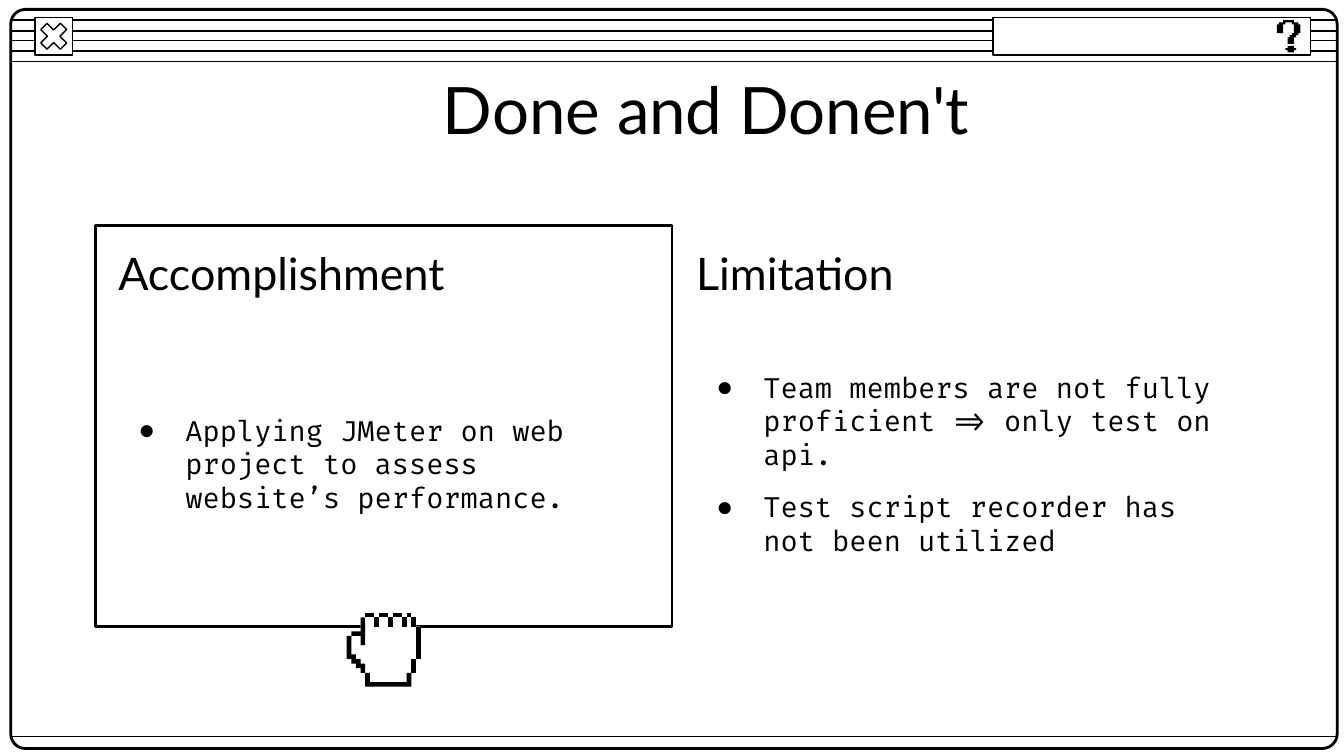
"""Builds the "Done and Donen't" slide inside a retro window frame."""
from dataclasses import dataclass

from lxml.etree import SubElement
from pptx import Presentation
from pptx.dml.color import RGBColor
from pptx.enum.shapes import MSO_CONNECTOR, MSO_SHAPE
from pptx.enum.text import MSO_ANCHOR, MSO_AUTO_SIZE, PP_ALIGN
from pptx.oxml.ns import qn
from pptx.util import Inches, Pt

COLORS = {"ink": "000000", "paper": "FFFFFF"}
HEADING_FONT = "Lato"
BODY_FONT = "Fira Code"


@dataclass(frozen=True)
class Box:
    left: float
    top: float
    width: float
    height: float

    def lengths(self) -> tuple:
        return tuple(Inches(n) for n in (self.left, self.top, self.width, self.height))


@dataclass(frozen=True)
class PixelGrid:
    left: float
    top: float
    cell: float


@dataclass(frozen=True)
class Column:
    left: float
    heading: str
    heading_index: int
    bullets: tuple


WINDOW = Box(0.08, 0.07, 9.87, 5.5)
CLOSE_BUTTON = Box(0.26, 0.13, 0.28, 0.28)
HELP_BAR = Box(7.39, 0.13, 2.36, 0.28)
CARD = Box(0.71, 1.68, 4.29, 2.98)
TITLE = Box(0.79, 0.49, 8.43, 0.63)
RULE_TOPS = (0.15, 0.23, 0.3, 0.38, 0.46, 5.48)

COLUMNS = (
    Column(0.78, "Accomplishment", 1,
           ("Applying JMeter on web project to assess website’s performance.",)),
    Column(5.08, "Limitation", 3,
           ("Team members are not fully proficient => only test on api.",
            "Test script recorder has not been utilized")),
)

QUESTION_GRID = PixelGrid(9.5, 0.15, 0.24 / 15)
QUESTION_HOOK = (
    (3, 0), (3, 1), (1, 1), (1, 2), (0, 2), (0, 6), (3, 6), (3, 2), (4, 2), (4, 1),
    (7, 1), (7, 2), (8, 2), (8, 6), (7, 6), (7, 7), (6, 7), (6, 8), (5, 8), (5, 11),
    (8, 11), (8, 8), (9, 8), (9, 7), (10, 7), (10, 6), (11, 6), (11, 2), (10, 2),
    (10, 1), (8, 1), (8, 0))
QUESTION_DOT = (
    (5, 12), (5, 13), (4, 13), (4, 14), (5, 14), (5, 15),
    (8, 15), (8, 14), (9, 14), (9, 13), (8, 13), (8, 12))

HAND_GRID = PixelGrid(2.58, 4.56, 0.55 / 16)
PALM = (
    (4, 0), (4, 1), (3, 1), (3, 4), (1, 4), (1, 5), (0, 5), (0, 10), (1, 10), (1, 11),
    (2, 11), (2, 12), (3, 12), (3, 13), (4, 13), (4, 16), (14, 16), (14, 13), (15, 13),
    (15, 10), (16, 10), (16, 3), (15, 3), (15, 1), (14, 1), (14, 0), (13, 0), (13, 1),
    (12, 1), (12, 0), (10, 0), (10, 1), (9, 1), (9, 0), (7, 0), (7, 1), (6, 1), (6, 0))
THUMB = ((3, 1), (3, 4), (1, 4), (1, 5), (3, 5), (3, 7), (4, 7), (4, 1))
CUFF = ((4, 13), (4, 16), (14, 16), (14, 13), (13, 13), (13, 15), (5, 15), (5, 13))
HAND_SIDE = (
    (0, 5), (0, 10), (1, 10), (1, 11), (2, 11), (2, 12), (3, 12), (3, 13), (4, 13),
    (4, 11), (3, 11), (3, 10), (2, 10), (2, 9), (1, 9), (1, 5))
HAND_BARS = (
    (14, 1, 1, 2), (12, 1, 1, 2), (9, 1, 1, 2), (6, 1, 1, 2), (15, 3, 1, 7),
    (14, 10, 1, 3), (4, 0, 2, 1), (7, 0, 2, 1), (10, 0, 2, 1), (13, 0, 1, 1))


def color(name: str) -> RGBColor:
    return RGBColor.from_string(COLORS[name])


def add_rule(shapes, top: float) -> None:
    right = WINDOW.left + WINDOW.width
    rule = shapes.add_connector(MSO_CONNECTOR.STRAIGHT, Inches(WINDOW.left), Inches(top),
                                Inches(right), Inches(top))
    rule.line.color.rgb = color("ink")
    rule.line.width = Pt(0.75)
    SubElement(rule.element.spPr, qn("a:effectLst"))


def add_panel(shapes, kind: MSO_SHAPE, box: Box, weight: float, filled: bool,
              adjustment: float | None = None) -> None:
    shape = shapes.add_shape(kind, *box.lengths())
    shape.shadow.inherit = False
    shape.line.color.rgb = color("ink")
    shape.line.width = Pt(weight)
    if filled:
        shape.fill.solid()
        shape.fill.fore_color.rgb = color("paper")
    else:
        shape.fill.background()
    if adjustment is not None:
        shape.adjustments[0] = adjustment


def add_pixels(shapes, grid: PixelGrid, points: tuple, fill: str = "ink") -> None:
    builder = shapes.build_freeform(*points[0], scale=Inches(grid.cell))
    builder.add_line_segments(points[1:], close=True)
    shape = builder.convert_to_shape(Inches(grid.left), Inches(grid.top))
    shape.shadow.inherit = False
    shape.fill.solid()
    shape.fill.fore_color.rgb = color(fill)
    shape.line.fill.background()


def bar_points(column: int, row: int, width: int, height: int) -> tuple:
    return ((column, row), (column, row + height),
            (column + width, row + height), (column + width, row))


def place(placeholder, box: Box):
    placeholder.left, placeholder.top, placeholder.width, placeholder.height = box.lengths()
    frame = placeholder.text_frame
    frame.word_wrap = True
    frame.auto_size = MSO_AUTO_SIZE.NONE
    frame.vertical_anchor = MSO_ANCHOR.MIDDLE
    frame.margin_left = frame.margin_right = Inches(0.1)
    frame.margin_top = frame.margin_bottom = Inches(0.1)
    return frame


def write(paragraph, text: str, font_name: str, size: float) -> None:
    run = paragraph.add_run()
    run.text = text
    run.font.name = font_name
    run.font.size = Pt(size)
    run.font.bold = False
    run.font.color.rgb = color("ink")


def indent(paragraph, left: float, first: float):
    properties = paragraph._p.get_or_add_pPr()
    properties.set("marL", str(Inches(left)))
    properties.set("indent", str(Inches(first)))
    return properties


def write_bullets(frame, bullets: tuple) -> None:
    for number, text in enumerate(bullets):
        paragraph = frame.add_paragraph() if number else frame.paragraphs[0]
        properties = indent(paragraph, 0.5, -0.35)
        bullet_color = SubElement(properties, qn("a:buClr"))
        SubElement(bullet_color, qn("a:srgbClr")).set("val", COLORS["ink"])
        SubElement(properties, qn("a:buChar")).set("char", "●")
        paragraph.alignment = PP_ALIGN.LEFT
        paragraph.line_spacing = 1.0
        paragraph.space_before = Pt(10 if number else 0)
        paragraph.space_after = Pt(10 if number == len(bullets) - 1 else 0)
        write(paragraph, text, BODY_FONT, 15)


def write_column(placeholders, column: Column) -> None:
    heading = place(placeholders[column.heading_index], Box(column.left, 1.75, 4.14, 0.55))
    paragraph = heading.paragraphs[0]
    indent(paragraph, 0, 0)
    paragraph.alignment = PP_ALIGN.LEFT
    paragraph.space_before = Pt(0)
    write(paragraph, column.heading, HEADING_FONT, 24)
    body = place(placeholders[column.heading_index + 1], Box(column.left, 2.3, 4.14, 2.3))
    write_bullets(body, column.bullets)


def main() -> None:
    presentation = Presentation()
    presentation.slide_width = Inches(10)
    presentation.slide_height = Inches(10 * 9 / 16)
    slide = presentation.slides.add_slide(presentation.slide_layouts[4])
    slide.background.fill.solid()
    slide.background.fill.fore_color.rgb = color("paper")
    shapes = slide.shapes

    for top in RULE_TOPS:
        add_rule(shapes, top)
    add_panel(shapes, MSO_SHAPE.ROUNDED_RECTANGLE, WINDOW, 1.5, False, 0.02)
    add_panel(shapes, MSO_SHAPE.RECTANGLE, CLOSE_BUTTON, 0.75, True)
    add_panel(shapes, MSO_SHAPE.MATH_MULTIPLY, CLOSE_BUTTON, 0.75, True, 0.235)
    add_panel(shapes, MSO_SHAPE.RECTANGLE, HELP_BAR, 0.75, True)
    for points in (QUESTION_DOT, QUESTION_HOOK):
        add_pixels(shapes, QUESTION_GRID, points)
    add_panel(shapes, MSO_SHAPE.RECTANGLE, CARD, 1.5, False)

    title = place(shapes.title, TITLE).paragraphs[0]
    indent(title, 0.5, 0)
    title.alignment = PP_ALIGN.CENTER
    write(title, "Done and Donen't", HEADING_FONT, 35)
    for column in COLUMNS:
        write_column(slide.placeholders, column)

    add_pixels(shapes, HAND_GRID, PALM, "paper")
    for points in (THUMB, CUFF, HAND_SIDE, *(bar_points(*bar) for bar in HAND_BARS)):
        add_pixels(shapes, HAND_GRID, points)
    presentation.save("out.pptx")


if __name__ == "__main__":
    main()
